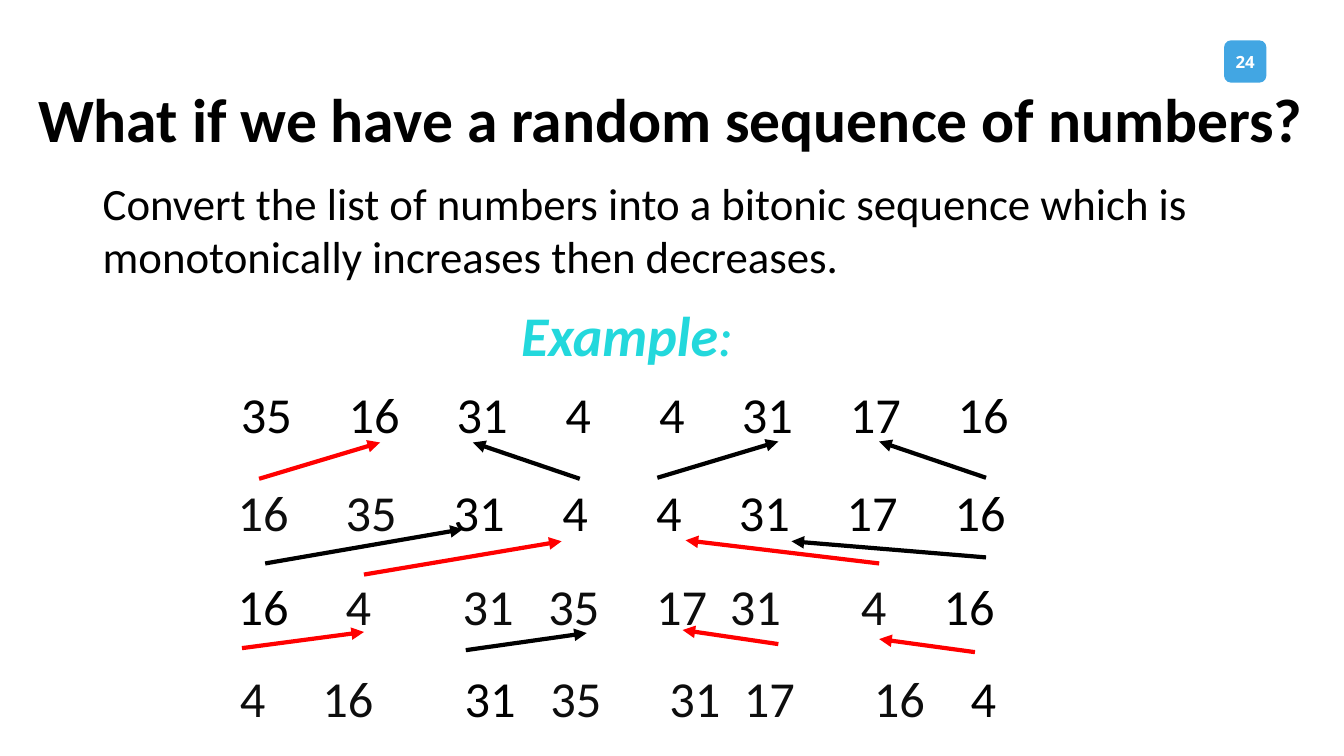
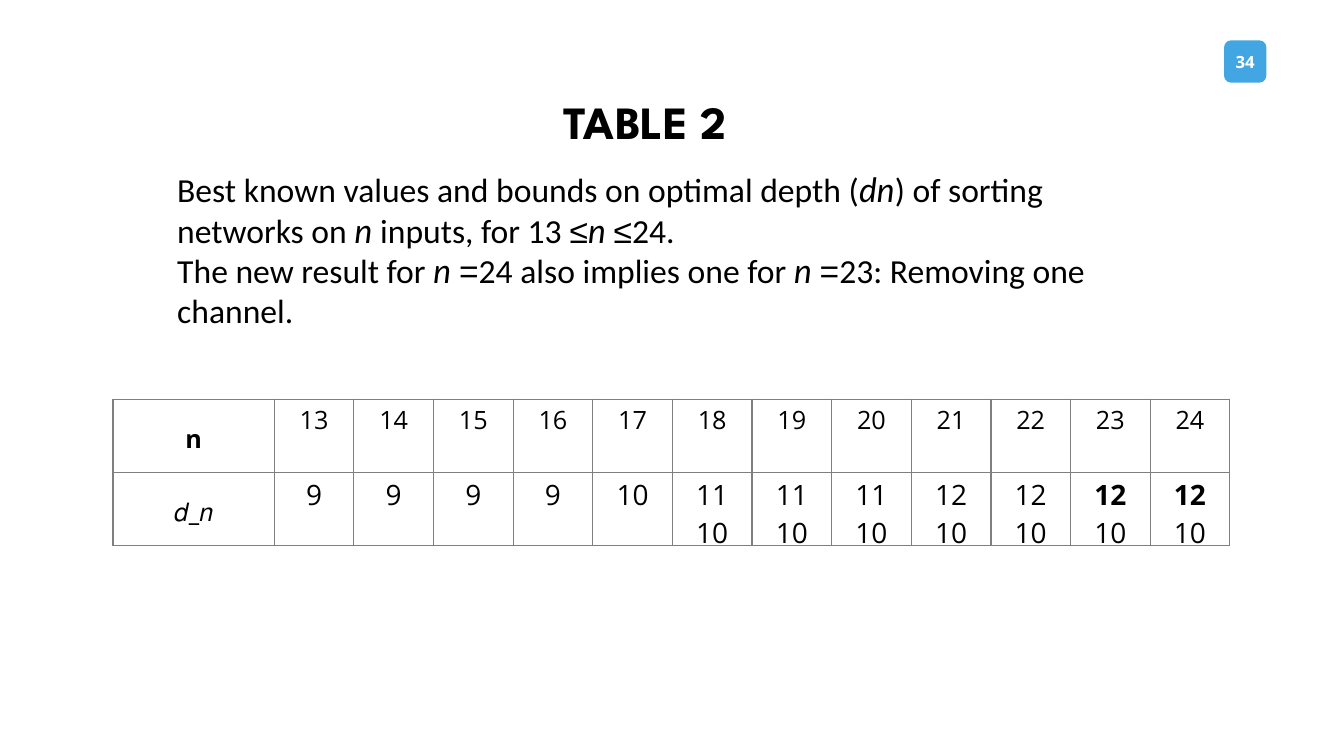
"""Build two slides on bitonic sequences and sorting network depth."""
from dataclasses import dataclass

from lxml import etree
from pptx import Presentation
from pptx.dml.color import RGBColor
from pptx.enum.shapes import MSO_CONNECTOR, MSO_SHAPE
from pptx.enum.text import MSO_ANCHOR, PP_ALIGN
from pptx.oxml.ns import qn
from pptx.util import Pt

STRAIGHT = MSO_CONNECTOR.STRAIGHT
ROUNDED = MSO_SHAPE.ROUNDED_RECTANGLE
LEFT, CENTER = PP_ALIGN.LEFT, PP_ALIGN.CENTER
TOP, MIDDLE = MSO_ANCHOR.TOP, MSO_ANCHOR.MIDDLE
EMU_PER_PX = 9144


def px(length):
    """Turn px into EMU."""
    return length * EMU_PER_PX


@dataclass(frozen=True)
class Theme:
    """Colours, fonts and type sizes."""
    black: str = "000000"
    soft: str = "0D0D0D"
    white: str = "FFFFFF"
    red: str = "FF0000"
    badge: str = "42A6E3"
    accent: str = "23D8DC"
    border: str = "7F7F7F"
    line_width: int = 3
    border_width: int = 1

    def text_format(self, role):
        """Return the format values of a text role."""
        body = {"name": "Calibri", "size": Pt(32), "color": self.black}
        note = {**body, "size": Pt(24)}
        example = {**body, "size": Pt(40), "italic": True, "color": self.accent}
        number = {**body, "size": Pt(36)}
        cell = {**body, "name": "Open Sans", "size": Pt(18), "bold": False}
        value = {**cell, "size": Pt(20)}
        return {
            "title": {**body, "size": Pt(44), "bold": True},
            "table title": {**body, "name": "League Spartan", "size": Pt(33), "bold": True},
            "badge": {**cell, "size": Pt(12), "bold": True, "color": self.white},
            "body": body,
            "note": note,
            "variable": {**note, "name": "Lato", "italic": True},
            "symbol": {**note, "name": "Arial"},
            "example": {**example, "bold": True},
            "example colon": example,
            "number": number,
            "soft number": {**number, "color": self.soft},
            "cell": cell,
            "cell label": {**cell, "bold": True},
            "value": value,
            "best value": {**value, "bold": True},
        }[role]


class Deck:
    """Hold the style and the current slide."""

    def __init__(self, theme, width, height):
        """Start an empty presentation."""
        self.theme = theme
        self.presentation = Presentation()
        self.presentation.slide_width = px(width)
        self.presentation.slide_height = px(height)
        self.slide = None

    def new_slide(self, number):
        """Add a blank slide with its number badge."""
        self.slide = self.presentation.slides.add_slide(self.presentation.slide_layouts[6])
        shape = self.slide.shapes.add_shape(ROUNDED, px(1214), px(40), px(42), px(42))
        shape.shadow.inherit = False
        shape.fill.solid()
        shape.fill.fore_color.rgb = RGBColor.from_string(self.theme.badge)
        shape.line.fill.background()
        frame = shape.text_frame
        self.set_values(frame, {
            "margin_left": 0, "margin_right": 0, "margin_top": 0, "margin_bottom": 0,
            "vertical_anchor": MIDDLE, "word_wrap": False})
        self.fill_frame(frame, [[(number, "badge")]], CENTER)

    @staticmethod
    def set_values(target, values):
        """Set attributes from a dict."""
        for name, value in values.items():
            setattr(target, name, value)

    def fill_frame(self, frame, paragraphs, alignment=LEFT, line_spacing=None):
        """Fill a text frame with paragraphs of (text, role) runs."""
        for index, runs in enumerate(paragraphs):
            paragraph = frame.paragraphs[0] if index == 0 else frame.add_paragraph()
            self.set_values(paragraph, {"alignment": alignment, "line_spacing": line_spacing})
            for text, role in runs:
                run = paragraph.add_run()
                run.text = text
                values = self.theme.text_format(role)
                run.font.color.rgb = RGBColor.from_string(values.pop("color"))
                self.set_values(run.font, values)

    def text(self, box, paragraphs, alignment=LEFT, line_spacing=None):
        """Add a text box."""
        frame = self.slide.shapes.add_textbox(*map(px, box)).text_frame
        self.set_values(frame, {"word_wrap": True, "vertical_anchor": TOP})
        self.fill_frame(frame, paragraphs, alignment, line_spacing)
        return frame

    def number_row(self, box, numbers, stops, soft=()):
        """Add a line of numbers spaced by tab stops."""
        runs = [("\t" * (index > 0) + number, "soft number" if index in soft else "number")
                for index, number in enumerate(numbers.split())]
        paragraph = self.text(box, [runs]).paragraphs[0]
        tabs = etree.SubElement(paragraph._p.get_or_add_pPr(), qn("a:tabLst"))
        for stop in stops:
            etree.SubElement(tabs, qn("a:tab"), pos=str(px(stop)), algn="l")

    def arrow(self, start, end, color):
        """Add a straight arrow."""
        connector = self.slide.shapes.add_connector(STRAIGHT, *map(px, start + end))
        connector.line.color.rgb = RGBColor.from_string(color)
        connector.line.width = Pt(self.theme.line_width)
        etree.SubElement(connector.line._get_or_add_ln(), qn("a:tailEnd"), type="triangle")
        etree.SubElement(connector._element.spPr, qn("a:effectLst"))

    def border(self, cell):
        """Draw the four borders of a table cell."""
        properties = cell._tc.get_or_add_tcPr()
        for index, side in enumerate(("a:lnL", "a:lnR", "a:lnT", "a:lnB")):
            line = etree.Element(qn(side), w=str(Pt(self.theme.border_width)))
            fill = etree.SubElement(line, qn("a:solidFill"))
            etree.SubElement(fill, qn("a:srgbClr"), val=self.theme.border)
            properties.insert(index, line)

    def table(self, left, top, widths, heights, rows):
        """Add a bordered table whose first column holds labels."""
        table = self.slide.shapes.add_table(
            len(rows), len(widths), px(left), px(top), px(sum(widths)), px(sum(heights))).table
        self.set_values(table, {"first_row": False, "horz_banding": False})
        for column, width in zip(table.columns, widths):
            column.width = px(width)
        for row, height, contents in zip(table.rows, heights, rows):
            row.height = px(height)
            for index, (cell, paragraphs) in enumerate(zip(row.cells, contents)):
                self.set_values(cell, {
                    "margin_left": px(5), "margin_right": px(5),
                    "margin_top": px(3 if index else 22), "margin_bottom": 0})
                cell.fill.background()
                self.border(cell)
                self.fill_frame(cell.text_frame, paragraphs, CENTER)


def sequence_slide(deck):
    """Show a random list turning into a bitonic sequence."""
    black, red = deck.theme.black, deck.theme.red
    deck.new_slide("24")
    deck.text((28, 75, 1302, 84),
              [[("What if we have a random sequence of numbers?", "title")]])
    deck.text((92, 169, 1133, 118),
              [[("Convert the list of numbers into a bitonic sequence which is "
                 "monotonically increases then decreases.", "body")]])
    deck.text((507, 293, 240, 77), [[("Example", "example"), (":", "example colon")]])

    even_stops = (107, 214, 322, 415, 497, 604, 711)
    number_rows = (
        (229, 375, "35 16 31 4 4 31 17 16", even_stops, ()),
        (226, 472, "16 35 31 4 4 31 17 16", even_stops, (0, 1)),
        (226, 566, "16 4 31 35 17 31 4 16", (107, 223, 308, 415, 488, 618, 700), range(1, 7)),
        (228, 657, "4 16 31 35 31 17 16 4", (82, 223, 308, 426, 500, 629, 725),
         (0, 1, 3, 4, 5, 6)),
    )
    for left, top, numbers, stops, soft in number_rows:
        deck.number_row((left, top, 810, 71), numbers, stops, soft)

    arrows = (
        ((257, 475), (377, 439), red),
        ((575, 475), (469, 439), black),
        ((652, 474), (772, 438), black),
        ((978, 474), (872, 438), black),
        ((263, 559), (459, 525), black),
        ((361, 570), (557, 537), red),
        ((978, 553), (785, 537), black),
        ((872, 559), (680, 536), red),
        ((240, 643), (361, 627), red),
        ((462, 645), (582, 628), black),
        ((772, 639), (677, 625), red),
        ((967, 647), (872, 634), red),
    )
    for start, end, color in arrows:
        deck.arrow(start, end, color)


def depth_slide(deck):
    """Show the known depths of sorting networks."""
    deck.new_slide("34")
    variable = ("n ", "variable")
    at_most, equals = ("≤", "symbol"), ("=", "symbol")
    deck.text((166, 163, 947, 172), [
        [("Best known values and bounds on optimal depth (", "note"), ("dn", "variable"),
         (") of sorting networks on ", "note"), variable, ("inputs, for 13 ", "note"),
         at_most, variable, at_most, ("24.", "note")],
        [("The new result for ", "note"), variable, equals,
         ("24 also implies one for ", "note"), variable, equals,
         ("23: Removing one channel.", "note")],
    ])
    deck.text((441, 73, 398, 75), [[("TABLE 2", "table title")]], CENTER, Pt(50))

    inputs = range(13, 25)
    upper_bounds = (9, 9, 9, 9, 10, 11, 11, 11, 12, 12, 12, 12)
    header = [[[("n", "cell label")]]] + [[[(str(count), "cell")]] for count in inputs]
    depths = [[[("𝑑_𝑛", "cell label")]]]
    for count, upper in zip(inputs, upper_bounds):
        bounds = [[(str(upper), "best value" if count >= 23 else "value")]]
        if upper > 10:
            bounds.append([("10", "value")])
        depths.append(bounds)
    deck.table(112, 396, [160] + [79] * len(inputs), (73, 72), (header, depths))


def main():
    """Build and save the presentation."""
    deck = Deck(Theme(), 1333, 750)
    sequence_slide(deck)
    depth_slide(deck)
    deck.presentation.save("out.pptx")


if __name__ == "__main__":
    main()
